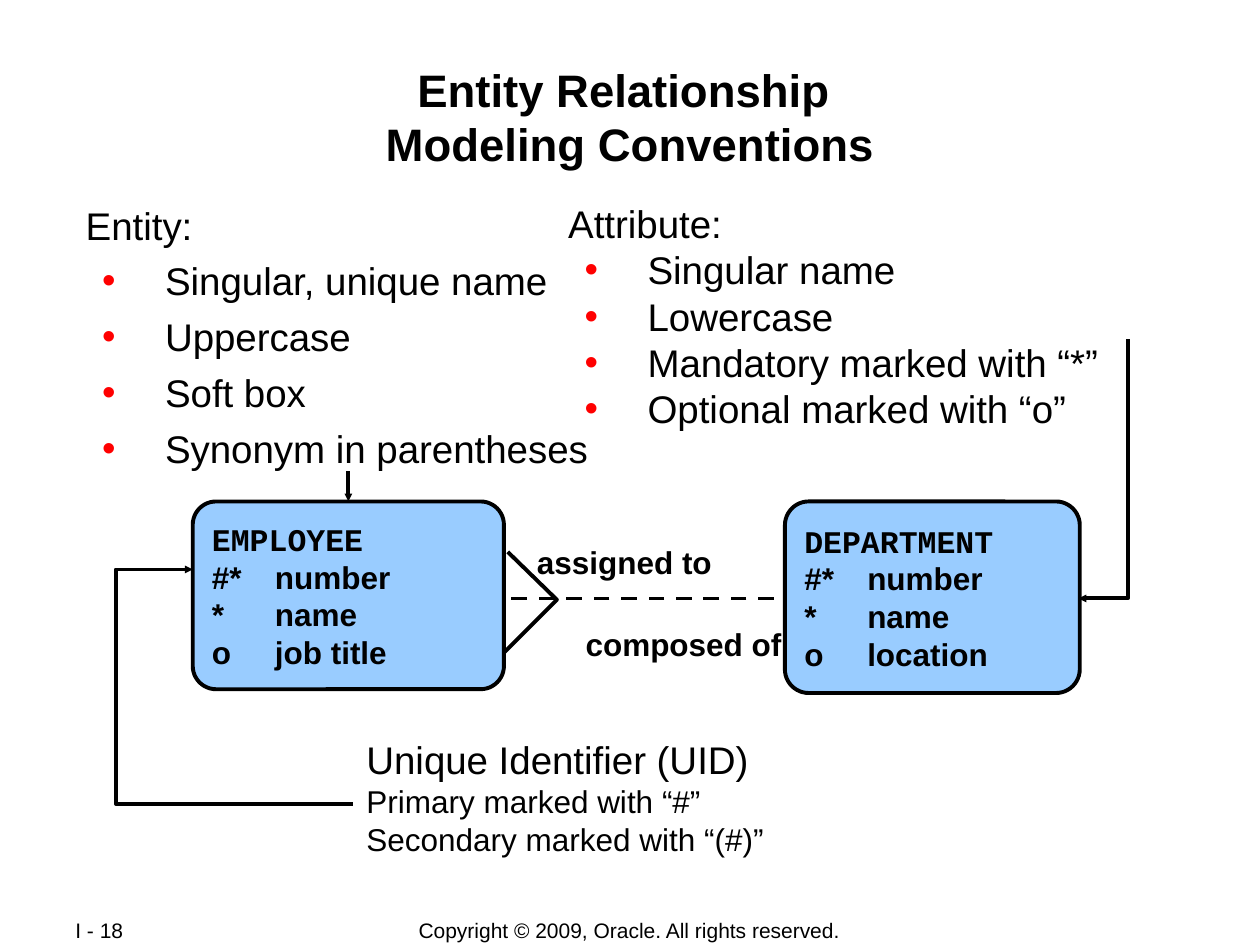
import pptx
import pptx.util
import pptx.dml.color
import pptx.enum.dml
import pptx.enum.shapes
import pptx.enum.text
import pptx.oxml.ns
from lxml import etree

PX = 9144  # 100 px to the inch
BLACK = pptx.dml.color.RGBColor(0x00, 0x00, 0x00)
RED = pptx.dml.color.RGBColor(0xFF, 0x00, 0x00)
SKY = pptx.dml.color.RGBColor(0x99, 0xCC, 0xFF)
ALIGN = pptx.enum.text.PP_ALIGN
ANCHOR = pptx.enum.text.MSO_ANCHOR
qn = pptx.oxml.ns.qn


def write(box, lines, margins=(10, 5), align=ALIGN.LEFT, anchor=ANCHOR.TOP,
          wrap=True, gap=0):
    """Fill a box with lines of (text, size, bold, font, bulleted)."""
    frame = box.text_frame
    frame.auto_size = pptx.enum.text.MSO_AUTO_SIZE.NONE
    frame.word_wrap = wrap
    frame.vertical_anchor = anchor
    frame.margin_left = frame.margin_right = margins[0] * PX
    frame.margin_top = frame.margin_bottom = margins[1] * PX
    for index, (text, size, bold, font, bulleted) in enumerate(lines):
        para = frame.paragraphs[0] if index == 0 else frame.add_paragraph()
        para.alignment = align
        para.line_spacing = 1.0
        para.space_before = pptx.util.Pt(gap if index else 0)
        properties = para._p.get_or_add_pPr()
        properties.set("marL", str(63 * PX if bulleted else 0))
        properties.set("indent", str(-50 * PX if bulleted else 0))
        if bulleted:
            para.level = 1
            color = etree.SubElement(properties, qn("a:buClr"))
            etree.SubElement(color, qn("a:srgbClr"), val=str(RED))
            etree.SubElement(properties, qn("a:buFont"), typeface="Arial")
            etree.SubElement(properties, qn("a:buChar"), char="•")
        else:
            etree.SubElement(properties, qn("a:buNone"))
        if "\t" in text:
            tabs = etree.SubElement(properties, qn("a:tabLst"))
            etree.SubElement(tabs, qn("a:tab"), pos=str(100 * PX), algn="l")
        for part, piece in enumerate(text.split("\n")):
            if part:
                para.add_line_break()
            span = para.add_run()
            span.text = piece
            span.font.name = font
            span.font.size = pptx.util.Pt(size)
            span.font.bold = bold
            span.font.color.rgb = BLACK


def stroke(shape, head=None):
    """Black line without shadow; head is headEnd or tailEnd."""
    shape.line.color.rgb = BLACK
    shape.line.width = pptx.util.Pt(2.25)
    properties = shape._element.spPr
    if head:
        etree.SubElement(properties.find(qn("a:ln")), qn("a:" + head),
                         type="triangle", w="sm", len="sm")
    etree.SubElement(properties, qn("a:effectLst"))


deck = pptx.Presentation()
deck.slide_width, deck.slide_height = 1000 * PX, 750 * PX
page = deck.slides.add_slide(deck.slide_layouts[1])
shapes = page.shapes

# Footer
for text, left, width, align in (
        ("Copyright © 2009, Oracle. All rights reserved.", 275, 449, ALIGN.CENTER),
        ("I - 18", 50, 106, ALIGN.LEFT)):
    box = shapes.add_textbox(left * PX, 728 * PX, width * PX, 21 * PX)
    write(box, [(text, 12, False, "Arial", False)], align=align, anchor=ANCHOR.MIDDLE)

# Relationship line
line = shapes.add_connector(pptx.enum.shapes.MSO_CONNECTOR.STRAIGHT,
                            636 * PX, 475 * PX, 371 * PX, 475 * PX)
stroke(line)
line.line.dash_style = pptx.enum.dml.MSO_LINE.DASH

# Crow's foot, ending behind the employee box, and bent pointers
for points, head in (
        ([(403, 438), (442, 476), (392, 526)], None),
        ([(856, 475), (895, 475), (895, 269)], "headEnd"),
        ([(280, 638), (92, 638), (92, 452), (153, 452)], "tailEnd")):
    builder = shapes.build_freeform(*points[0], scale=PX)
    builder.add_line_segments(points[1:], close=False)
    bend = builder.convert_to_shape()
    bend.fill.background()
    stroke(bend, head)

# Title
title = shapes.title
title.left, title.top, title.width, title.height = 67 * PX, 48 * PX, 866 * PX, 96 * PX
write(title, [("Entity Relationship \nModeling Conventions", 26, True, "Arial", False)],
      margins=(1, 1), align=ALIGN.CENTER)

# Entity and attribute lists
entity_list = page.placeholders[1]
entity_list.left, entity_list.top = 67 * PX, 159 * PX
entity_list.width, entity_list.height = 450 * PX, 217 * PX
attribute_list = shapes.add_textbox(450 * PX, 158 * PX, 450 * PX, 186 * PX)
for box, gap, heading, items in (
        (entity_list, 5.5, "Entity:",
         ["Singular, unique name", "Uppercase", "Soft box", "Synonym in parentheses"]),
        (attribute_list, 0, "Attribute:",
         ["Singular name", "Lowercase", "Mandatory marked with “*”",
          "Optional marked with “o”"])):
    lines = [(heading, 22, False, "Arial", False)]
    lines += [(item, 22, False, "Arial", True) for item in items]
    write(box, lines, margins=(1, 1), gap=gap)

# Unique identifier note
box = shapes.add_textbox(281 * PX, 579 * PX, 336 * PX, 107 * PX)
write(box, [("Unique Identifier (UID)", 22, False, "Arial", False),
            ("Primary marked with “#”", 18, False, "Arial", False),
            ("Secondary marked with “(#)”", 18, False, "Arial", False)], wrap=False)

# Entity soft boxes
entities = {}
for name, last, left, width, height in (("EMPLOYEE", "job title", 153, 247, 149),
                                        ("DEPARTMENT", "location", 623, 234, 152)):
    box = shapes.add_shape(pptx.enum.shapes.MSO_SHAPE.ROUNDED_RECTANGLE,
                           left * PX, 398 * PX, width * PX, height * PX)
    box.adjustments[0] = 0.124
    box.fill.solid()
    box.fill.fore_color.rgb = SKY
    stroke(box)
    lines = [(name, 18, True, "Courier New", False)]
    lines += [(text, 18, True, "Arial", False)
              for text in ("#* \tnumber", "*\tname", "o\t" + last)]
    write(box, lines, anchor=ANCHOR.MIDDLE)
    entities[name] = box

# Synonym pointer
pointer = shapes.add_connector(pptx.enum.shapes.MSO_CONNECTOR.STRAIGHT,
                               275 * PX, 374 * PX, 275 * PX, 397 * PX)
pointer.end_connect(entities["EMPLOYEE"], 0)
pointer.begin_x = pointer.end_x
stroke(pointer, "tailEnd")

# Relationship names
for text, left, top, width in (("assigned to", 416, 426, 159),
                               ("composed of", 410, 491, 265)):
    box = shapes.add_textbox(left * PX, top * PX, width * PX, 40 * PX)
    write(box, [(text, 18, True, "Arial", False)], align=ALIGN.CENTER)

deck.save("out.pptx")
